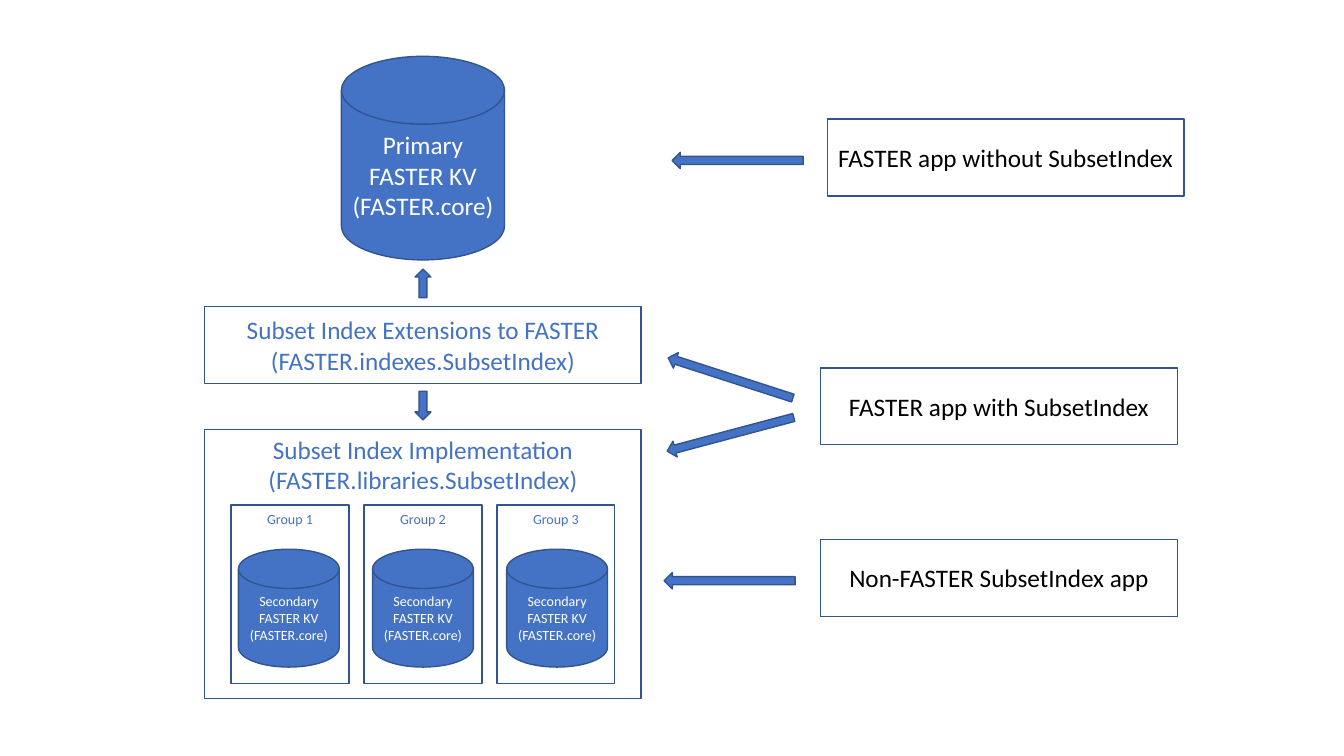
from dataclasses import dataclass

from pptx import Presentation
from pptx.dml.color import RGBColor
from pptx.enum.shapes import MSO_SHAPE
from pptx.enum.text import MSO_ANCHOR, PP_ALIGN
from pptx.util import Cm, Pt

RECT = MSO_SHAPE.RECTANGLE
DISK = MSO_SHAPE.FLOWCHART_MAGNETIC_DISK
UP, DOWN, LEFT = MSO_SHAPE.UP_ARROW, MSO_SHAPE.DOWN_ARROW, MSO_SHAPE.LEFT_ARROW
TOP, MIDDLE = MSO_ANCHOR.TOP, MSO_ANCHOR.MIDDLE
CENTER = PP_ALIGN.CENTER


@dataclass(frozen=True)
class Theme:
    font: str = "Calibri"
    blue: RGBColor = RGBColor(0x44, 0x72, 0xC4)
    edge: RGBColor = RGBColor(0x32, 0x54, 0x91)
    white: RGBColor = RGBColor(0xFF, 0xFF, 0xFF)
    black: RGBColor = RGBColor(0, 0, 0)
    large: int = 18
    small: int = 10
    line: int = 1


THEME = Theme()

# Content; all lengths are in centimetres
PRIMARY = "Primary\nFASTER KV\n(FASTER.core)"
SECONDARY = "Secondary\nFASTER KV\n(FASTER.core)"
EXTENSIONS = "Subset Index Extensions to FASTER\n(FASTER.indexes.SubsetIndex)"
LIBRARY = "Subset Index Implementation\n(FASTER.libraries.SubsetIndex)"
GROUPS = ["Group 1", "Group 2", "Group 3"]
APPS = [  # text, left, top
    ("FASTER app without SubsetIndex", 20.85, 3.0),
    ("FASTER app with SubsetIndex", 20.68, 9.27),
    ("Non-FASTER SubsetIndex app", 20.68, 13.59),
]
CALLS = [  # left, top, rotation
    (16.94, 3.84, 0),
    (16.76, 9.32, 17.9),
    (16.76, 10.74, -14.9),
    (16.74, 14.43, 0),
]
LINKS = [(UP, 6.78), (DOWN, 9.86)]  # arrow, top

# Layout
STACK_X, STACK_W = 5.16, 11.0
AXIS = STACK_X + STACK_W / 2
BOX_H = 1.94
APP_W = 8.99
DISK_W, DISK_H = 4.11, 5.13
GROUP_W, GROUP_H, GROUP_STEP = 2.97, 4.5, 3.35
STORE_W, STORE_H, STORE_STEP = 2.54, 2.97, 3.38
CALL_W, CALL_H = 3.3, 0.41
LINK_W, LINK_H = 0.4, 0.72


def draw(slide, kind, left, top, width, height, filled=True):
    shape = slide.shapes.add_shape(kind, Cm(left), Cm(top), Cm(width), Cm(height))
    shape.shadow.inherit = False
    if filled:
        shape.fill.solid()
        shape.fill.fore_color.rgb = THEME.blue
    else:
        shape.fill.background()
    shape.line.color.rgb = THEME.edge
    shape.line.width = Pt(THEME.line)
    return shape


def write(shape, text, size, color, anchor=MIDDLE):
    frame = shape.text_frame
    frame.vertical_anchor = anchor
    para = frame.paragraphs[0]
    para.text = text
    para.alignment = CENTER
    para.font.name = THEME.font
    para.font.size = Pt(size)
    para.font.color.rgb = color


def box(slide, text, place, color, size=THEME.large, anchor=MIDDLE):
    write(draw(slide, RECT, *place, filled=False), text, size, color, anchor)


def disk(slide, text, place, size):
    write(draw(slide, DISK, *place), text, size, THEME.white)


def row(count, width, step):
    """Left edges of equal parts centred on the axis of the stack."""
    start = AXIS - (width + (count - 1) * step) / 2
    return [start + i * step for i in range(count)]


def add_stack(slide):
    box(slide, LIBRARY, (STACK_X, 10.82, STACK_W, 6.78), THEME.blue, anchor=TOP)
    disk(slide, PRIMARY, (AXIS - DISK_W / 2, 1.42, DISK_W, DISK_H), THEME.large)
    for left in row(len(GROUPS), STORE_W, STORE_STEP):
        disk(slide, SECONDARY, (left, 13.84, STORE_W, STORE_H), THEME.small)
    for name, left in zip(GROUPS, row(len(GROUPS), GROUP_W, GROUP_STEP)):
        place = (left, 12.73, GROUP_W, GROUP_H)
        box(slide, name, place, THEME.blue, THEME.small, TOP)
    box(slide, EXTENSIONS, (STACK_X, 7.72, STACK_W, BOX_H), THEME.blue)
    for kind, top in LINKS:
        draw(slide, kind, AXIS - LINK_W / 2, top, LINK_W, LINK_H)


def add_apps(slide):
    for text, left, top in APPS:
        box(slide, text, (left, top, APP_W, BOX_H), THEME.black)
    for left, top, angle in CALLS:
        draw(slide, LEFT, left, top, CALL_W, CALL_H).rotation = angle


def main():
    deck = Presentation()
    deck.slide_width, deck.slide_height = Cm(33.87), Cm(19.05)
    slide = deck.slides.add_slide(deck.slide_layouts[6])
    add_stack(slide)
    add_apps(slide)
    deck.save("out.pptx")


if __name__ == "__main__":
    main()
